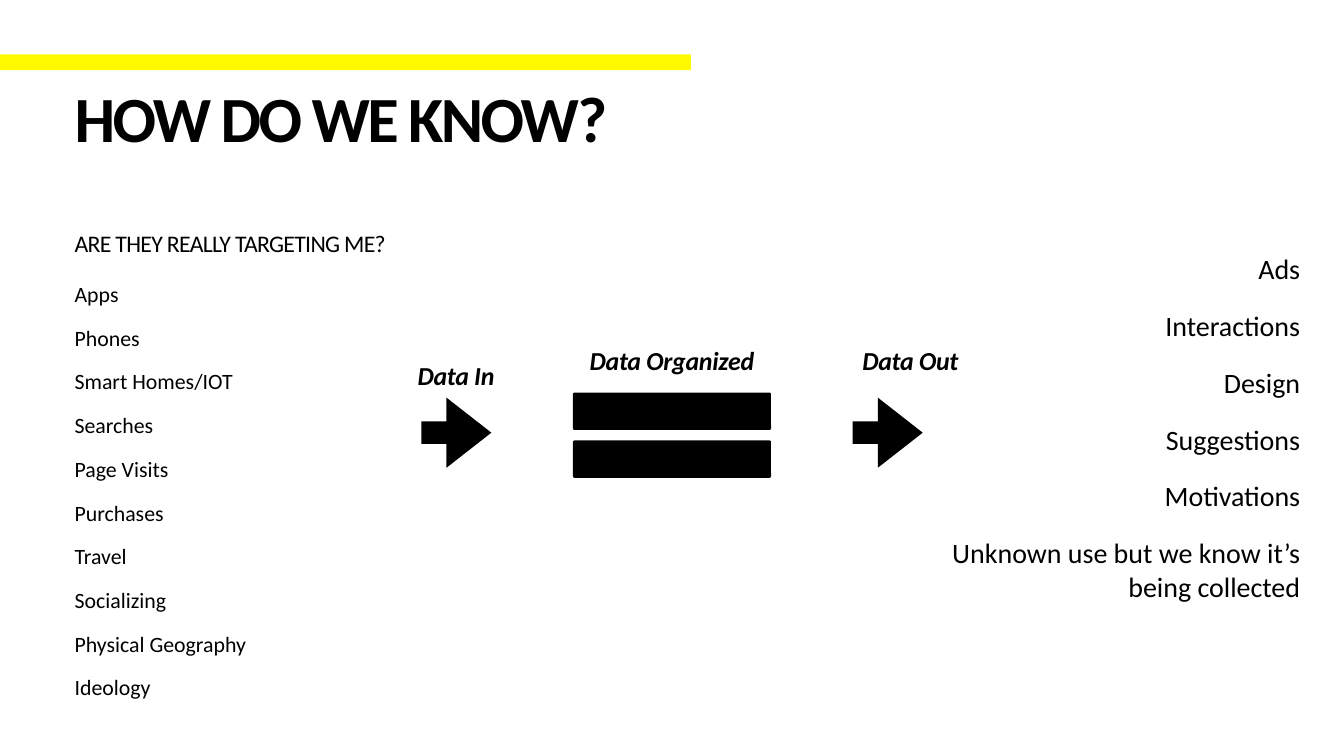
"""Build the slide on how collected data is organized and used."""
from dataclasses import dataclass
from typing import Any

import pptx
import pptx.dml.color
import pptx.enum.shapes
import pptx.enum.text
import pptx.util

Inches = pptx.util.Inches
Align = pptx.enum.text.PP_ALIGN
Anchor = pptx.enum.text.MSO_ANCHOR
AutoSize = pptx.enum.text.MSO_AUTO_SIZE
Preset = pptx.enum.shapes.MSO_SHAPE

BLACK = "000000"
YELLOW = "FFFA00"
FONT = "Calibri"
INSET = 0.06


@dataclass
class Box:
    left: float
    top: float
    width: float
    height: float

    def lengths(self) -> list[int]:
        return [Inches(v) for v in (self.left, self.top, self.width, self.height)]


@dataclass
class TextStyle:
    size: float
    align: Any = Align.LEFT
    anchor: Any = Anchor.TOP
    bold: bool = False
    italic: bool = False
    gap: float = 0
    line_spacing: float = 1.0
    tracking: float = 0
    wrap: bool = True
    auto_size: Any = AutoSize.NONE


@dataclass
class Block:
    box: Box
    lines: list[str]
    style: TextStyle


@dataclass
class Figure:
    preset: Any
    box: Box
    color: str = BLACK
    adjustments: tuple[float, ...] = ()


def rgb(value: str) -> pptx.dml.color.RGBColor:
    return pptx.dml.color.RGBColor.from_string(value)


def write_text(frame: Any, lines: list[str], style: TextStyle) -> None:
    frame.word_wrap = style.wrap
    frame.auto_size = style.auto_size
    frame.vertical_anchor = style.anchor
    frame.margin_left = frame.margin_right = Inches(INSET)
    frame.margin_top = frame.margin_bottom = Inches(INSET)
    for index, line in enumerate(lines):
        paragraph = frame.paragraphs[0] if index == 0 else frame.add_paragraph()
        run = paragraph.add_run()
        run.text = line
        if style.tracking:
            run._r.get_or_add_rPr().set("spc", str(round(style.tracking * 100)))
        paragraph.alignment = style.align
        paragraph.line_spacing = style.line_spacing
        paragraph.space_before = pptx.util.Pt(style.gap if index else 0)
        paragraph.font.name = FONT
        paragraph.font.size = pptx.util.Pt(style.size)
        paragraph.font.bold = style.bold
        paragraph.font.italic = style.italic
        paragraph.font.color.rgb = rgb(BLACK)


def draw_block(slide: Any, block: Block) -> None:
    textbox = slide.shapes.add_textbox(*block.box.lengths())
    write_text(textbox.text_frame, block.lines, block.style)


def draw_figure(slide: Any, figure: Figure) -> None:
    shape = slide.shapes.add_shape(figure.preset, *figure.box.lengths())
    for index, value in enumerate(figure.adjustments):
        shape.adjustments[index] = value
    shape.shadow.inherit = False
    shape.fill.solid()
    shape.fill.fore_color.rgb = rgb(figure.color)
    shape.line.fill.background()


def draw_title(slide: Any, block: Block) -> None:
    title = slide.shapes.title
    title.left, title.top, title.width, title.height = block.box.lengths()
    write_text(title.text_frame, block.lines, block.style)


LABEL = TextStyle(37, Align.CENTER, Anchor.MIDDLE, bold=True, italic=True,
                  line_spacing=0.8, tracking=-0.4, wrap=False,
                  auto_size=AutoSize.SHAPE_TO_FIT_TEXT)

HEADING = Block(Box(1.42, 1.78, 12.51, 2.7), ["HOW DO WE KNOW?"],
                TextStyle(92, bold=True, line_spacing=0.8, tracking=-3.7))

BLOCKS = [
    Block(Box(1.42, 5.51, 15.27, 9.12),
          ["Apps", "Phones", "Smart Homes/IOT", "Searches", "Page Visits",
           "Purchases", "Travel", "Socializing", "Physical Geography", "Ideology"],
          TextStyle(31.2, gap=25)),
    Block(Box(1.42, 4.48, 12.51, 0.74), ["ARE THEY REALLY TARGETING ME?"],
          TextStyle(34, tracking=-1)),
    Block(Box(18.54, 4.94, 7.32, 9.12),
          ["Ads", "Interactions", "Design", "Suggestions", "Motivations",
           "Unknown use but we know it’s being collected"],
          TextStyle(40, Align.RIGHT, gap=33)),
    Block(Box(11.36, 6.8, 3.95, 0.79), ["Data Organized"], LABEL),
    Block(Box(8.12, 7.11, 1.86, 0.79), ["Data In"], LABEL),
    Block(Box(16.92, 6.8, 2.29, 0.79), ["Data Out"], LABEL),
]

FIGURES = [
    Figure(Preset.RECTANGLE, Box(0, 1.08, 13.71, 0.31), YELLOW),
    *(Figure(Preset.ROUNDED_RECTANGLE, Box(11.37, top, 3.93, 0.74), adjustments=(0.04,))
      for top in (7.79, 8.74)),
    *(Figure(Preset.RIGHT_ARROW, Box(left, 7.89, 1.39, 1.39), adjustments=(0.32, 0.64))
      for left in (8.36, 16.92)),
]


def main() -> None:
    deck = pptx.Presentation()
    deck.slide_width, deck.slide_height = Inches(26.67), Inches(15)
    slide = deck.slides.add_slide(deck.slide_layouts.get_by_name("Title Only"))
    draw_title(slide, HEADING)
    for figure in FIGURES:
        draw_figure(slide, figure)
    for block in BLOCKS:
        draw_block(slide, block)
    deck.save("out.pptx")


if __name__ == "__main__":
    main()
